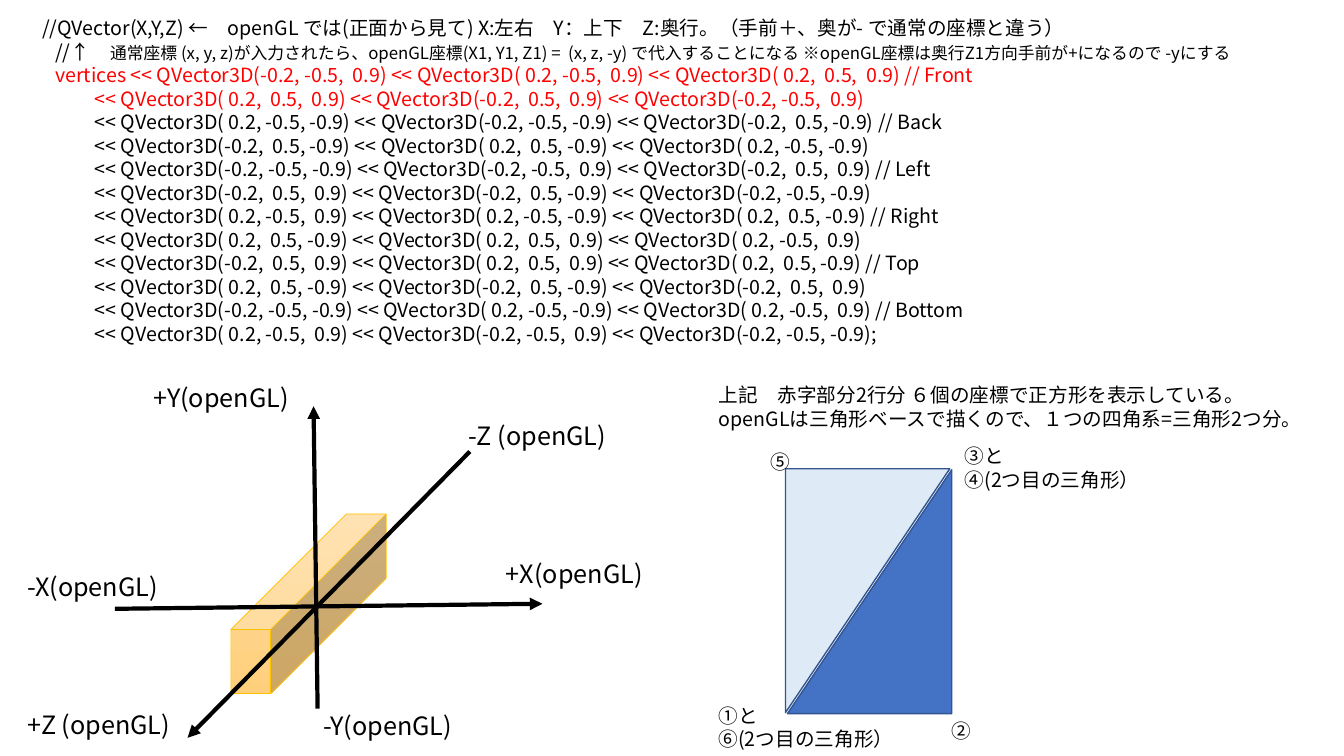
from lxml.etree import SubElement
from pptx import Presentation
from pptx.dml.color import RGBColor
from pptx.enum.shapes import MSO_CONNECTOR, MSO_SHAPE
from pptx.enum.text import MSO_AUTO_SIZE
from pptx.oxml.ns import qn
from pptx.util import Emu, Pt

PX = 9144
FONT = "Noto Sans CJK JP"
BLACK = RGBColor(0x00, 0x00, 0x00)
RED = RGBColor(0xFF, 0x00, 0x00)
BLUE = RGBColor(0x44, 0x72, 0xC4)
PALE_BLUE = RGBColor(0xDE, 0xEB, 0xF7)
NAVY = RGBColor(0x32, 0x54, 0x91)
GOLD = RGBColor(0xFF, 0xC0, 0x00)
LIGHT_ORANGE = RGBColor(0xFF, 0xDB, 0x9E)
ORANGE = RGBColor(0xFF, 0xD0, 0x7C)


def add_run(p, text, size, color=BLACK):
    r = p.add_run()
    r.text = text
    r.font.size = Pt(size)
    r.font.color.rgb = color
    r.font.name = FONT
    SubElement(r.font._element, qn("a:ea"), typeface=FONT)


def add_text(s, box, paragraphs):
    tf = s.shapes.add_textbox(*[Emu(v * PX) for v in box]).text_frame
    tf.word_wrap = True
    tf.auto_size = MSO_AUTO_SIZE.SHAPE_TO_FIT_TEXT
    for i, (margin, indent, runs) in enumerate(paragraphs):
        p = tf.paragraphs[0] if i == 0 else tf.add_paragraph()
        pPr = p._p.get_or_add_pPr()
        pPr.set("marL", str(margin * PX))
        pPr.set("indent", str(indent * PX))
        for run in runs:
            add_run(p, *run)


prs = Presentation()
prs.slide_width = Emu(1333 * PX)
prs.slide_height = Emu(750 * PX)
s = prs.slides.add_slide(prs.slide_layouts[6])

code = [
    (0, 4, [("//QVector(X,Y,Z) ←\u3000openGL では(正面から見て) X:左右\u3000Y：上下\u3000Z:奥行。"
             "（手前＋、奥が- で通常の座標と違う）", 14)]),
    (0, 17, [("//↑\u3000", 14),
             ("通常座標 (x, y, z)が入力されたら、openGL座標(X1, Y1, Z1) =  (x, z, -y) で代入することになる "
              "※openGL座標は奥行Z1方向手前が+になるので -yにする", 12)]),
]
HALF_SIZE = (0.2, 0.5, 0.9)
faces = [
    ("Front", "--+ +-+ +++ -++"),
    ("Back", "+-- --- -+- ++-"),
    ("Left", "--- --+ -++ -+-"),
    ("Right", "+-+ +-- ++- +++"),
    ("Top", "-++ +++ ++- -+-"),
    ("Bottom", "--- +-- +-+ --+"),
]
for name, signs in faces:
    corners = []
    for corner in signs.split():
        values = [h if sign == "+" else -h for sign, h in zip(corner, HALF_SIZE)]
        corners.append("<< QVector3D(" + ", ".join(f"{v:4.1f}" for v in values) + ")")
    a, b, c, d = corners
    color = RED if name == "Front" else BLACK
    start, margin = ("vertices ", 17) if name == "Front" else ("", 56)
    end = ";" if name == "Bottom" else ""
    code.append((margin, 0, [(f"{start}{a} {b} {c} // {name}", 14, color)]))
    code.append((56, 0, [(f"{c} {d} {a}{end}", 14, color)]))
add_text(s, (28, 11, 1249, 340), code)

cube = s.shapes.add_shape(MSO_SHAPE.CUBE, *[Emu(v * PX) for v in (229, 510, 154, 178)])
cube.adjustments[0] = 0.743
cube.shadow.inherit = False
cube.fill.gradient()
cube.fill.gradient_angle = 270
for stop, color in zip(cube.fill.gradient_stops, (LIGHT_ORANGE, ORANGE)):
    stop.color.rgb = color
cube.line.color.rgb = GOLD
cube.line.width = Pt(0.5)

for axis in [(114, 604, 538, 599), (466, 448, 186, 732), (315, 703, 311, 403)]:
    cn = s.shapes.add_connector(MSO_CONNECTOR.STRAIGHT, *[Emu(v * PX) for v in axis])
    cn.line.color.rgb = BLACK
    cn.line.width = Pt(3)
    SubElement(cn.line._get_or_add_ln(), qn("a:tailEnd"), type="triangle")
    SubElement(cn._element.spPr, qn("a:effectLst"))

for left, top, rotation, color in [(781, 466, 0, BLUE), (779, 465, 180, PALE_BLUE)]:
    sp = s.shapes.add_shape(MSO_SHAPE.ISOSCELES_TRIANGLE, *[Emu(v * PX) for v in (left, top, 163, 242)])
    sp.adjustments[0] = 1
    sp.rotation = rotation
    sp.shadow.inherit = False
    sp.fill.solid()
    sp.fill.fore_color.rgb = color
    sp.line.color.rgb = NAVY
    sp.line.width = Pt(1)

labels = [
    ((17, 699, 242, 40), 18, ["+Z (openGL)"]),
    ((455, 412, 175, 40), 18, ["-Z (openGL)"]),
    ((492, 549, 175, 40), 18, ["+X(openGL)"]),
    ((17, 562, 175, 40), 18, ["-X(openGL)"]),
    ((142, 374, 175, 40), 18, ["+Y(openGL)"]),
    ((311, 700, 175, 40), 18, ["-Y(openGL)"]),
    ((703, 375, 602, 57), 14, ["上記\u3000赤字部分2行分 ６個の座標で正方形を表示している。",
                               "openGLは三角形ベースで描くので、１つの四角系=三角形2つ分。"]),
    ((934, 708, 50, 34), 14, ["②"]),
    ((947, 436, 239, 57), 14, ["③と", "④(2つ目の三角形）"]),
    ((754, 441, 50, 34), 14, ["⑤"]),
    ((703, 693, 239, 57), 14, ["①と", "⑥(2つ目の三角形）"]),
]
for box, size, lines in labels:
    add_text(s, box, [(0, 0, [(line, size)]) for line in lines])

prs.save("out.pptx")
